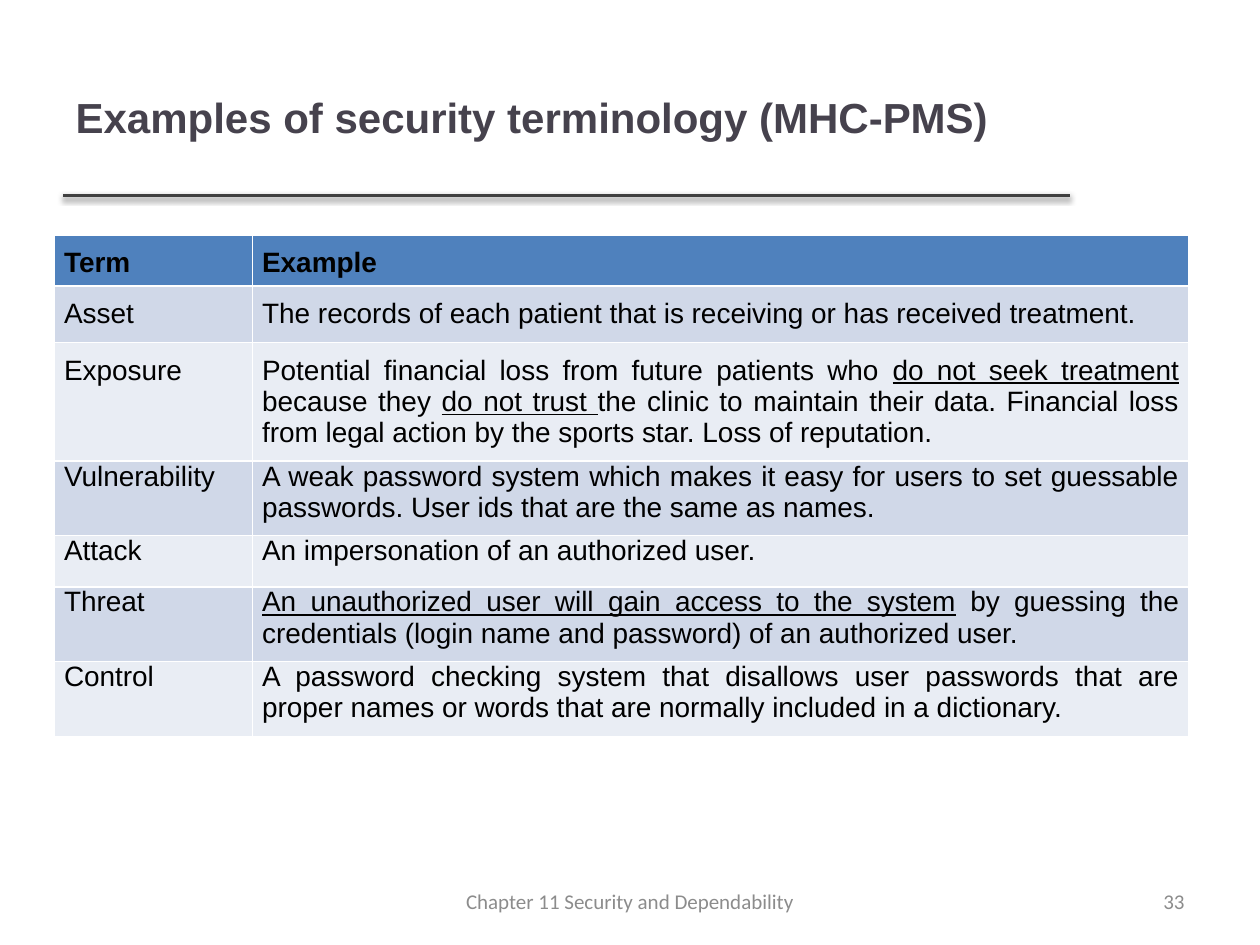
"""Build a slide with a table of security terms and their examples."""
from lxml import etree
from pptx import Presentation
from pptx.dml.color import RGBColor
from pptx.enum.shapes import MSO_CONNECTOR
from pptx.enum.text import MSO_ANCHOR, PP_ALIGN
from pptx.oxml import parse_xml
from pptx.oxml.ns import qn
from pptx.util import Pt

STRAIGHT = MSO_CONNECTOR.STRAIGHT
MIDDLE = MSO_ANCHOR.MIDDLE
LEFT, CENTER, RIGHT, JUSTIFY = PP_ALIGN.LEFT, PP_ALIGN.CENTER, PP_ALIGN.RIGHT, PP_ALIGN.JUSTIFY

BLACK = RGBColor(0x00, 0x00, 0x00)
TITLE_GREY = RGBColor(0x46, 0x42, 0x4D)
RULE_GREY = RGBColor(0x40, 0x40, 0x40)
FOOTER_GREY = RGBColor(0x8C, 0x8C, 0x8C)
HEADER_BLUE = RGBColor(0x4F, 0x81, 0xBD)
BANDS = [RGBColor(0xD0, 0xD8, 0xE8), RGBColor(0xE9, 0xED, 0xF4)]

TITLE_FONT = {"name": "Arial", "size": Pt(24), "bold": True}
HEADER_FONT = {"name": "Arial", "size": Pt(16), "bold": True}
BODY_FONT = {"name": "Arial", "size": Pt(16), "bold": False}
FOOTER_FONT = {"name": "Calibri", "size": Pt(12), "bold": False}

SHADOW = """<a:effectLst xmlns:a="http://schemas.openxmlformats.org/drawingml/2006/main">
<a:outerShdw blurRad="39370" dist="20320" dir="5400000" rotWithShape="0">
<a:srgbClr val="000000"><a:alpha val="38000"/></a:srgbClr></a:outerShdw></a:effectLst>"""

ROWS = [
    ("Term", ["Example"]),
    ("Asset", ["The records of each patient that is receiving or has received treatment."]),
    ("Exposure", [
        "Potential financial loss from future patients who ",
        ("do not seek treatment ",),
        "because they ",
        ("do not trust ",),
        "the clinic to maintain their data. Financial loss from legal action "
        "by the sports star. Loss of reputation.",
    ]),
    ("Vulnerability", [
        "A weak password system which makes it easy for users to set guessable "
        "passwords. User ids that are the same as names.",
    ]),
    ("Attack", ["An impersonation of an authorized user."]),
    ("Threat", [
        ("An unauthorized user will gain access to the system",),
        " by guessing the credentials (login name and password) of an authorized user.",
    ]),
    ("Control", [
        "A password checking system that disallows user passwords that are proper "
        "names or words that are normally included in a dictionary.",
    ]),
]
FOOTERS = [
    ("33", 516, 168, RIGHT),
    ("Chapter 11 Security and Dependability", 246, 228, CENTER),
]


def write(frame, pieces, font, color, align):
    """Fill the first paragraph; a piece held in a tuple is underlined."""
    para = frame.paragraphs[0]
    para.alignment = align
    for piece in pieces:
        underlined = isinstance(piece, tuple)
        span = para.add_run()
        span.text = piece[0] if underlined else piece
        for key, value in font.items():
            setattr(span.font, key, value)
        span.font.color.rgb = color
        if underlined:
            span.font.underline = True


deck = Presentation()
deck.slide_width, deck.slide_height = Pt(720), Pt(540)
page = deck.slides.add_slide(deck.slide_layouts[5])

rule = page.shapes.add_connector(STRAIGHT, Pt(36), Pt(111.6), Pt(611.3), Pt(111.6))
rule.line.color.rgb = RULE_GREY
rule.line.width = Pt(2)
properties = rule.element.find(qn("p:spPr"))
properties.append(parse_xml(etree.tostring(etree.fromstring(SHADOW))))

title = page.shapes.title
title.left, title.top, title.width, title.height = Pt(36), Pt(21.6), Pt(574.6), Pt(90)
title.text_frame.vertical_anchor = MIDDLE
write(title.text_frame, ["Examples of security terminology (MHC-PMS)"], TITLE_FONT, TITLE_GREY, LEFT)

holder = page.shapes.add_table(len(ROWS), 2, Pt(31.2), Pt(134.2), Pt(648), Pt(204.4))
table = holder.table
for column, width in zip(table.columns, (113.2, 534.8)):
    column.width = Pt(width)
for index, (term, example) in enumerate(ROWS):
    header = index == 0
    table.rows[index].height = Pt(29.2)
    for cell, pieces in zip(table.rows[index].cells, ([term], example)):
        margins = {
            "margin_left": Pt(5.4),
            "margin_right": Pt(5.4),
            "margin_top": Pt(7.2 if index < 3 else 0),
            "margin_bottom": Pt(0 if header else 7.2),
        }
        for key, value in margins.items():
            setattr(cell, key, value)
        cell.fill.solid()
        cell.fill.fore_color.rgb = HEADER_BLUE if header else BANDS[(index - 1) % 2]
        write(cell.text_frame, pieces, HEADER_FONT if header else BODY_FONT, BLACK, JUSTIFY)

for text, left, width, align in FOOTERS:
    box = page.shapes.add_textbox(Pt(left), Pt(500.5), Pt(width), Pt(28.75))
    box.text_frame.word_wrap = True
    box.text_frame.vertical_anchor = MIDDLE
    write(box.text_frame, [text], FOOTER_FONT, FOOTER_GREY, align)

deck.save("out.pptx")
